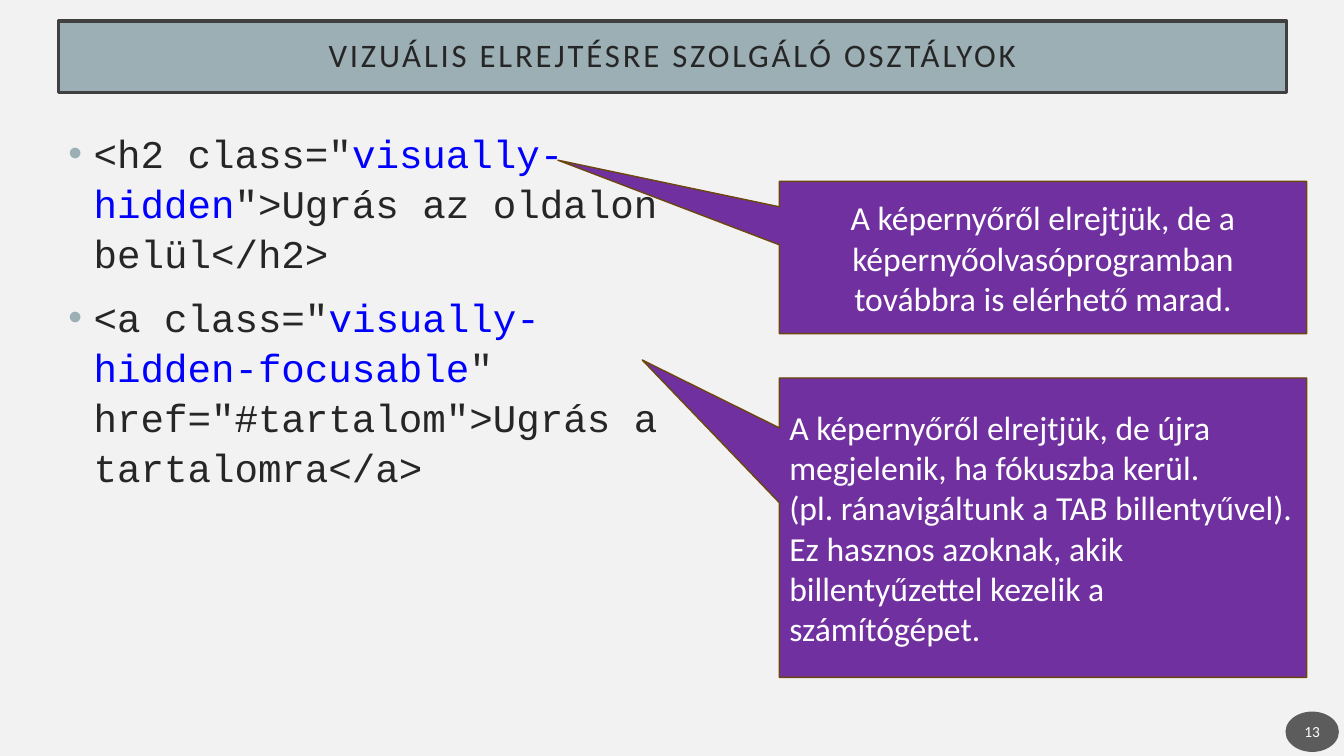
from lxml.etree import SubElement
from pptx import Presentation
from pptx.dml.color import RGBColor
from pptx.enum.shapes import MSO_SHAPE
from pptx.enum.text import MSO_ANCHOR, PP_ALIGN
from pptx.oxml.ns import qn
from pptx.util import Inches, Pt

COLORS = {
    "background": "F2F2F2", "banner": "9BAFB5", "banner_edge": "404040",
    "text": "262626", "class_name": "0000FF", "callout": "7030A0",
    "callout_edge": "6C470D", "badge": "1D1D1D", "white": "FFFFFF",
}


def color(name):
    return RGBColor.from_string(COLORS[name])


def add_text(paragraph, text, size, color_name="white", font="Calibri", spacing=None):
    """Append text to the paragraph; a newline becomes a line break."""
    for index, line in enumerate(text.split("\n")):
        if index:
            paragraph.add_line_break()
        run = paragraph.add_run()
        run.text = line
        run.font.name = font
        run.font.size = Pt(size)
        run.font.color.rgb = color(color_name)
        if spacing:
            run.font._element.set("spc", str(spacing * 100))


def set_frame(shape, margins=(0.1, 0.05), anchor=MSO_ANCHOR.MIDDLE):
    frame = shape.text_frame
    frame.word_wrap = True
    frame.vertical_anchor = anchor
    frame.margin_left = frame.margin_right = Inches(margins[0])
    frame.margin_top = frame.margin_bottom = Inches(margins[1])
    return frame


def paint(shape, fill, edge=None, width=1):
    shape.fill.solid()
    shape.fill.fore_color.rgb = color(fill)
    if edge:
        shape.line.color.rgb = color(edge)
        shape.line.width = Pt(width)
    else:
        shape.line.fill.background()


def add_title(slide, box, text):
    title = slide.shapes.title
    title.left, title.top, title.width, title.height = map(Inches, box)
    paint(title, "banner", "banner_edge", 2.5)
    paragraph = set_frame(title, (0.2, 0.2)).paragraphs[0]
    paragraph.alignment = PP_ALIGN.CENTER
    paragraph.line_spacing = 0.9
    add_text(paragraph, text, 23.4, "text", spacing=2)


def add_bullet(paragraph):
    properties = paragraph._p.get_or_add_pPr()
    properties.set("marL", str(Inches(0.25)))
    properties.set("indent", str(Inches(-0.25)))
    bullet_color = SubElement(properties, qn("a:buClr"))
    SubElement(bullet_color, qn("a:srgbClr"), val=COLORS["banner"])
    SubElement(properties, qn("a:buFont"), typeface="Arial")
    SubElement(properties, qn("a:buChar"), char="•")


def add_code_list(slide, box, examples):
    code = slide.shapes.add_textbox(*map(Inches, box))
    frame = set_frame(code, anchor=MSO_ANCHOR.TOP)
    for index, (before, class_name, after) in enumerate(examples):
        paragraph = frame.add_paragraph() if index else frame.paragraphs[0]
        add_bullet(paragraph)
        paragraph.line_spacing = 1.06
        if index:
            paragraph.space_before = Pt(10)
        for text, color_name in ((before, "text"), (class_name, "class_name"), (after, "text")):
            add_text(paragraph, text, 28, color_name, "Courier New")


def add_callout(slide, box, tip, text, alignment):
    """Tip is the pointer's offset from the centre, as shares of the box size."""
    callout = slide.shapes.add_shape(MSO_SHAPE.RECTANGULAR_CALLOUT, *map(Inches, box))
    callout.shadow.inherit = False
    callout.adjustments[0], callout.adjustments[1] = tip
    paint(callout, "callout", "callout_edge")
    paragraph = set_frame(callout).paragraphs[0]
    paragraph.alignment = alignment
    add_text(paragraph, text, 24)


def add_page_badge(slide, box, number):
    badge = slide.shapes.add_shape(MSO_SHAPE.OVAL, *map(Inches, box))
    badge.shadow.inherit = False
    paint(badge, "badge")
    fill_color = badge._element.spPr.find(qn("a:solidFill"))[0]
    SubElement(fill_color, qn("a:alpha"), val="70000")
    paragraph = set_frame(badge, (0.02, 0.05)).paragraphs[0]
    paragraph.alignment = PP_ALIGN.CENTER
    add_text(paragraph, number, 11)


def main():
    presentation = Presentation()
    presentation.slide_width = Inches(13.33)
    presentation.slide_height = Inches(7.5)
    slide = presentation.slides.add_slide(presentation.slide_layouts[5])
    slide.background.fill.solid()
    slide.background.fill.fore_color.rgb = color("background")

    add_title(slide, (0.58, 0.21, 12.18, 0.71), "VIZUÁLIS ELREJTÉSRE SZOLGÁLÓ OSZTÁLYOK")
    add_code_list(slide, (0.58, 1.21, 6.39, 5.77), [
        ('<h2 class="', "visually-hidden", '">Ugrás az oldalon belül</h2>'),
        ('<a class="', "visually-hidden-focusable",
         '" href="#tartalom">Ugrás a tartalomra</a>'),
    ])
    add_page_badge(slide, (12.75, 7.06, 0.53, 0.4), "13")
    add_callout(
        slide, (7.73, 3.75, 5.23, 2.97), (-0.76, -0.56),
        "A képernyőről elrejtjük, de újra megjelenik, ha fókuszba kerül. \n"
        "(pl. ránavigáltunk a TAB billentyűvel). Ez hasznos azoknak, akik "
        "billentyűzettel kezelik a számítógépet.", PP_ALIGN.LEFT)
    add_callout(
        slide, (7.73, 1.8, 5.23, 1.51), (-0.92, -0.64),
        "A képernyőről elrejtjük, de a képernyőolvasóprogramban "
        "továbbra is elérhető marad.", PP_ALIGN.CENTER)
    presentation.save("out.pptx")


if __name__ == "__main__":
    main()
